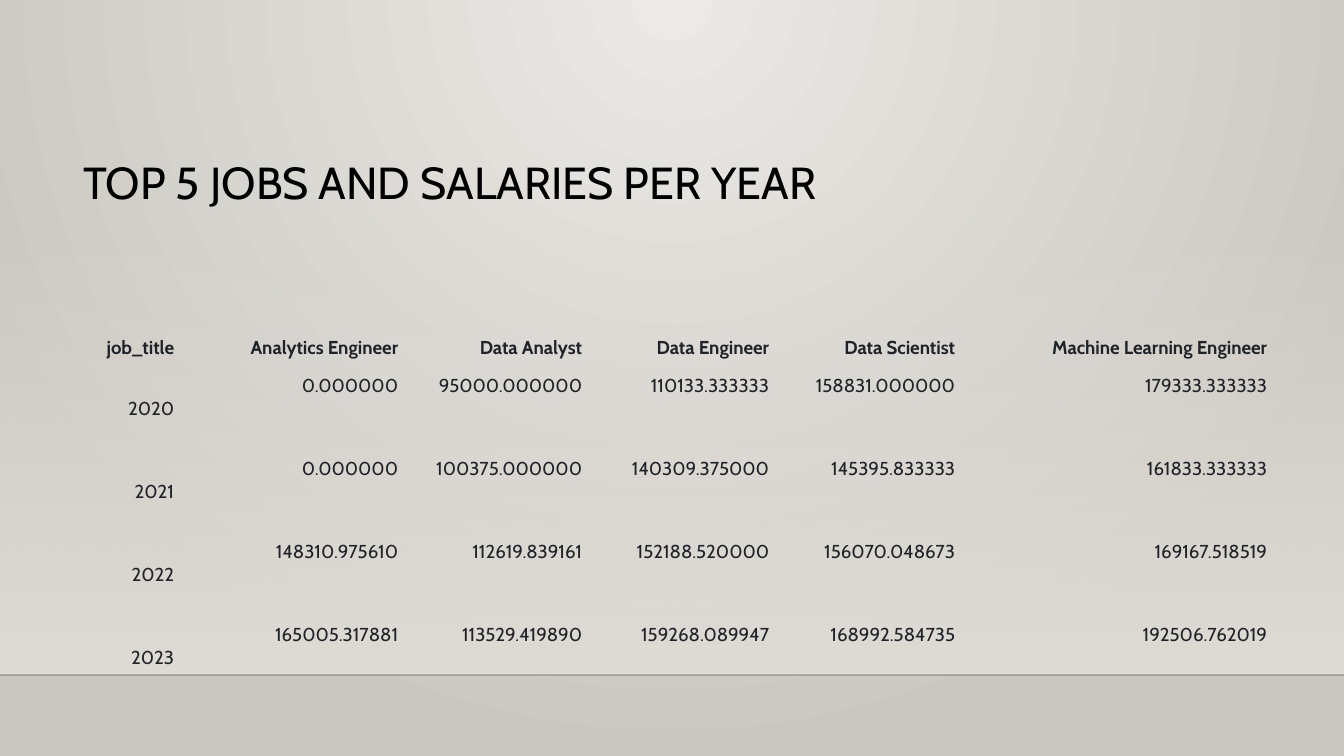
"""Build a slide with a table of the top five jobs and their salaries per year."""
import pptx
import pptx.dml.color
import pptx.enum.shapes
import pptx.enum.text
import pptx.oxml.ns
import pptx.util
from lxml import etree

RGBColor = pptx.dml.color.RGBColor
PP_ALIGN = pptx.enum.text.PP_ALIGN
MSO_ANCHOR = pptx.enum.text.MSO_ANCHOR
qn = pptx.oxml.ns.qn

PX = 914400 / 134.4
W, H = 1344, 756
FLOOR_Y = 675
FONT = "Cabin"
BLACK = RGBColor(0x00, 0x00, 0x00)
INK = RGBColor(0x1F, 0x23, 0x28)
LINE = RGBColor(0x00, 0x00, 0x01)
GLOW = RGBColor(0xEC, 0xEA, 0xE7)
EDGE = RGBColor(0xCA, 0xC7, 0xC1)
WALL = RGBColor(0xDF, 0xDB, 0xD5)

COLS = [115, 224, 184, 187, 186, 312]
ROWS = [39, 83, 83, 83, 83]
DATA = [
    ["job_title", "Analytics Engineer", "Data Analyst", "Data Engineer", "Data Scientist", "Machine Learning Engineer"],
    ["2020", "0.000000", "95000.000000", "110133.333333", "158831.000000", "179333.333333"],
    ["2021", "0.000000", "100375.000000", "140309.375000", "145395.833333", "161833.333333"],
    ["2022", "148310.975610", "112619.839161", "152188.520000", "156070.048673", "169167.518519"],
    ["2023", "165005.317881", "113529.419890", "159268.089947", "168992.584735", "192506.762019"],
]


def px(*values):
    return [pptx.util.Emu(round(v * PX)) for v in values]


def write(tf, text, size=10, color=INK, bold=False, align=PP_ALIGN.RIGHT, spacing=1.15):
    tf.word_wrap = True
    p = tf.paragraphs[0]
    p.alignment = align
    p.line_spacing = spacing
    r = p.add_run()
    r.text = text
    r.font.name = FONT
    r.font.size = pptx.util.Pt(size)
    r.font.bold = bold
    r.font.color.rgb = color


prs = pptx.Presentation()
prs.slide_width, prs.slide_height = px(W, H)
s = prs.slides.add_slide(prs.slide_layouts[5])

fill = s.background.fill
fill.gradient()
for stop, color in zip(fill.gradient_stops, [GLOW, EDGE]):
    stop.color.rgb = color
grad = next(s._element.iter(qn("a:gradFill")))
grad.remove(grad.find(qn("a:lin")))
circle = etree.SubElement(grad, qn("a:path"), {"path": "circle"})
etree.SubElement(circle, qn("a:fillToRect"), l="43000", t="0", r="43000", b="100000")

sp = s.shapes.add_shape(pptx.enum.shapes.MSO_SHAPE.RECTANGLE, *px(0, 223, W, FLOOR_Y - 223))
sp.shadow.inherit = False
sp.line.fill.background()
sp.fill.gradient()
sp.fill.gradient_angle = 270
for stop in sp.fill.gradient_stops:
    stop.color.rgb = WALL
clear = next(sp._element.spPr.iter(qn("a:srgbClr")))
etree.SubElement(clear, qn("a:alpha"), val="0")

line = s.shapes.add_connector(pptx.enum.shapes.MSO_CONNECTOR.STRAIGHT, *px(0, FLOOR_Y, W, FLOOR_Y))
line.line.width = pptx.util.Pt(1)
line.line.color.rgb = LINE
faint = next(line._element.spPr.iter(qn("a:srgbClr")))
etree.SubElement(faint, qn("a:alpha"), val="20000")
etree.SubElement(line._element.spPr, qn("a:effectLst"))

title = s.shapes.title
s.shapes._spTree.append(title._element)
title.left, title.top, title.width, title.height = px(70, 109, 1208, 113)
tf = title.text_frame
tf.margin_left, tf.margin_top, tf.margin_right, tf.margin_bottom = px(13, 13, 13, 13)
tf.vertical_anchor = MSO_ANCHOR.BOTTOM
write(tf, "TOP 5 JOBS AND SALARIES PER YEAR", size=24, color=BLACK, align=PP_ALIGN.LEFT, spacing=0.9)

table = s.shapes.add_table(len(ROWS), len(COLS), *px(70, 327, sum(COLS), sum(ROWS))).table
table.first_row = False
table.horz_banding = False
for col, width in zip(table.columns, px(*COLS)):
    col.width = width
for row, height in zip(table.rows, px(*ROWS)):
    row.height = height
for i, values in enumerate(DATA):
    for j, value in enumerate(values):
        cell = table.cell(i, j)
        cell.margin_left, cell.margin_top, cell.margin_right, cell.margin_bottom = px(11, 5, 11, 5)
        cell.vertical_anchor = MSO_ANCHOR.MIDDLE if i == 0 or j == 0 else MSO_ANCHOR.TOP
        for side in ("a:lnL", "a:lnR", "a:lnT", "a:lnB"):
            border = etree.SubElement(cell._tc.get_or_add_tcPr(), qn(side))
            etree.SubElement(border, qn("a:noFill"))
        cell.fill.background()
        write(cell.text_frame, value, bold=i == 0)

prs.save("out.pptx")
